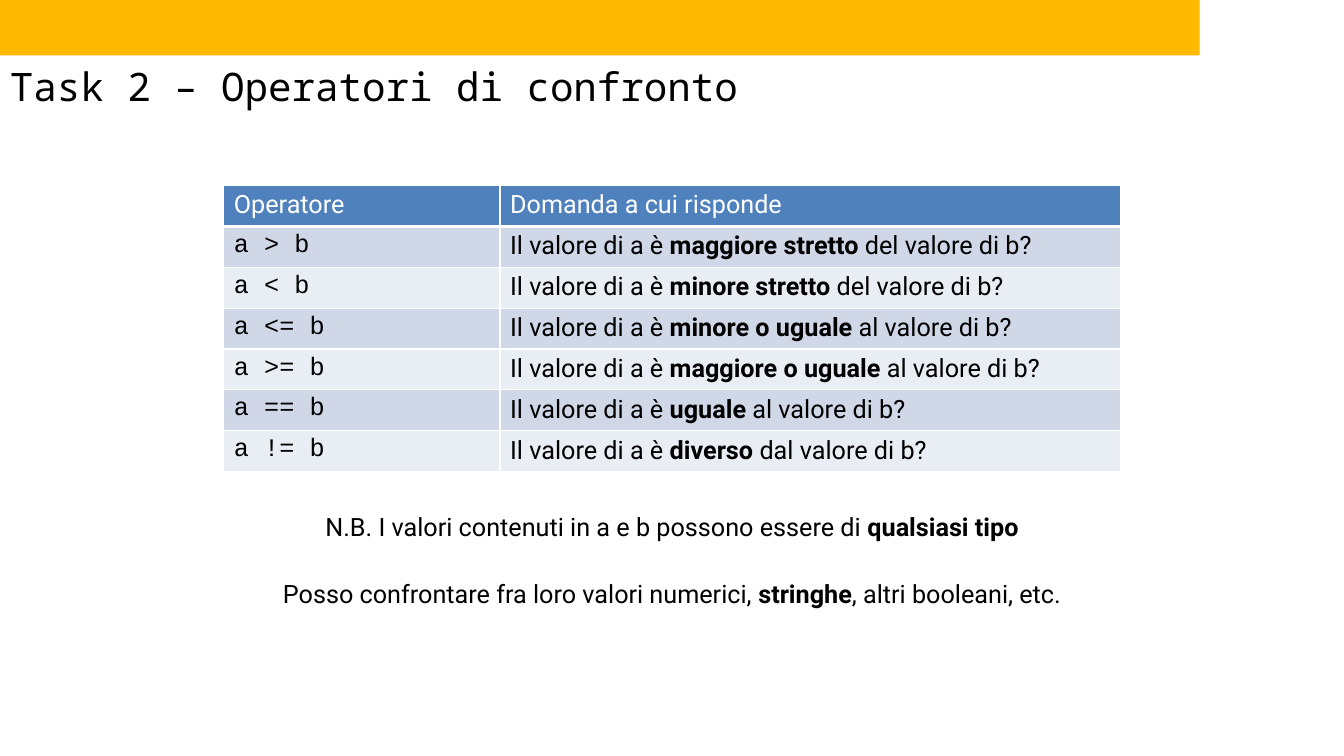
"""Build the slide on comparison operators."""
from lxml.etree import SubElement
from pptx import Presentation
from pptx.dml.color import RGBColor
from pptx.enum.shapes import MSO_SHAPE
from pptx.enum.text import PP_ALIGN
from pptx.oxml.ns import qn
from pptx.util import Pt

PX = 9144
GOLD = RGBColor(0xFF, 0xBA, 0x00)
BLUE = RGBColor(0x4F, 0x81, 0xBD)
BANDS = [RGBColor(0xE9, 0xED, 0xF4), RGBColor(0xD0, 0xD8, 0xE8)]
BLACK = RGBColor(0x00, 0x00, 0x00)
WHITE = RGBColor(0xFF, 0xFF, 0xFF)
BODY = {"name": "Roboto", "size": Pt(18)}
CODE = {"name": "Courier New", "size": Pt(18)}
HEAD = {"name": "Noto Sans Mono", "size": Pt(28)}


def write(para, text, look, ink=BLACK):
    for i, part in enumerate(text.split("*")):
        run = para.add_run()
        run.text = part
        for key, value in {**look, "bold": i % 2 == 1}.items():
            setattr(run.font, key, value)
        run.font.color.rgb = ink


def edge(cell, side, width):
    line = SubElement(cell._tc.get_or_add_tcPr(), qn(f"a:ln{side}"), w=str(Pt(width)))
    fill = SubElement(line, qn("a:solidFill"))
    SubElement(fill, qn("a:srgbClr"), val=str(WHITE))


deck = Presentation()
deck.slide_width, deck.slide_height = 1333 * PX, 750 * PX
slide = deck.slides.add_slide(deck.slide_layouts[6])

bar = slide.shapes.add_shape(MSO_SHAPE.RECTANGLE, 0, 0, 1190 * PX, 55 * PX)
bar.shadow.inherit = False
bar.fill.solid()
bar.fill.fore_color.rgb = GOLD
bar.line.fill.background()

rows = [
    ("Operatore", "Domanda a cui risponde"),
    ("a > b", "Il valore di a è *maggiore stretto* del valore di b?"),
    ("a < b", "Il valore di a è *minore stretto* del valore di b?"),
    ("a <= b", "Il valore di a è *minore o uguale* al valore di b?"),
    ("a >= b", "Il valore di a è *maggiore o uguale* al valore di b?"),
    ("a == b", "Il valore di a è *uguale* al valore di b?"),
    ("a != b", "Il valore di a è *diverso* dal valore di b?"),
]
frame = slide.shapes.add_table(len(rows), 2, 222 * PX, 184 * PX, 889 * PX, 284 * PX)
table = frame.table
for col, width in zip(table.columns, (274, 615)):
    col.width = width * PX
for r, row in enumerate(rows):
    for c, text in enumerate(row):
        cell = table.cell(r, c)
        for side in "LRTB":
            thick = (r, side) in [(0, "B"), (1, "T")]
            edge(cell, side, 3 if thick else 1)
        cell.fill.solid()
        cell.fill.fore_color.rgb = BANDS[r % 2] if r else BLUE
        look = CODE if r and c == 0 else BODY
        write(cell.text_frame.paragraphs[0], text, look, BLACK if r else WHITE)

texts = [
    ((0, 57, 963, 57), "Task 2 – Operatori di confronto", HEAD, PP_ALIGN.LEFT, True),
    ((309, 502, 715, 40), "N.B. I valori contenuti in a e b possono essere di *qualsiasi tipo",
     BODY, PP_ALIGN.CENTER, False),
    ((266, 569, 801, 40), "Posso confrontare fra loro valori numerici, *stringhe*, altri booleani, etc.",
     BODY, PP_ALIGN.CENTER, False),
]
for place, text, look, align, wrap in texts:
    box = slide.shapes.add_textbox(*(n * PX for n in place))
    box.text_frame.word_wrap = wrap
    para = box.text_frame.paragraphs[0]
    para.alignment = align
    write(para, text, look)

deck.save("out.pptx")
